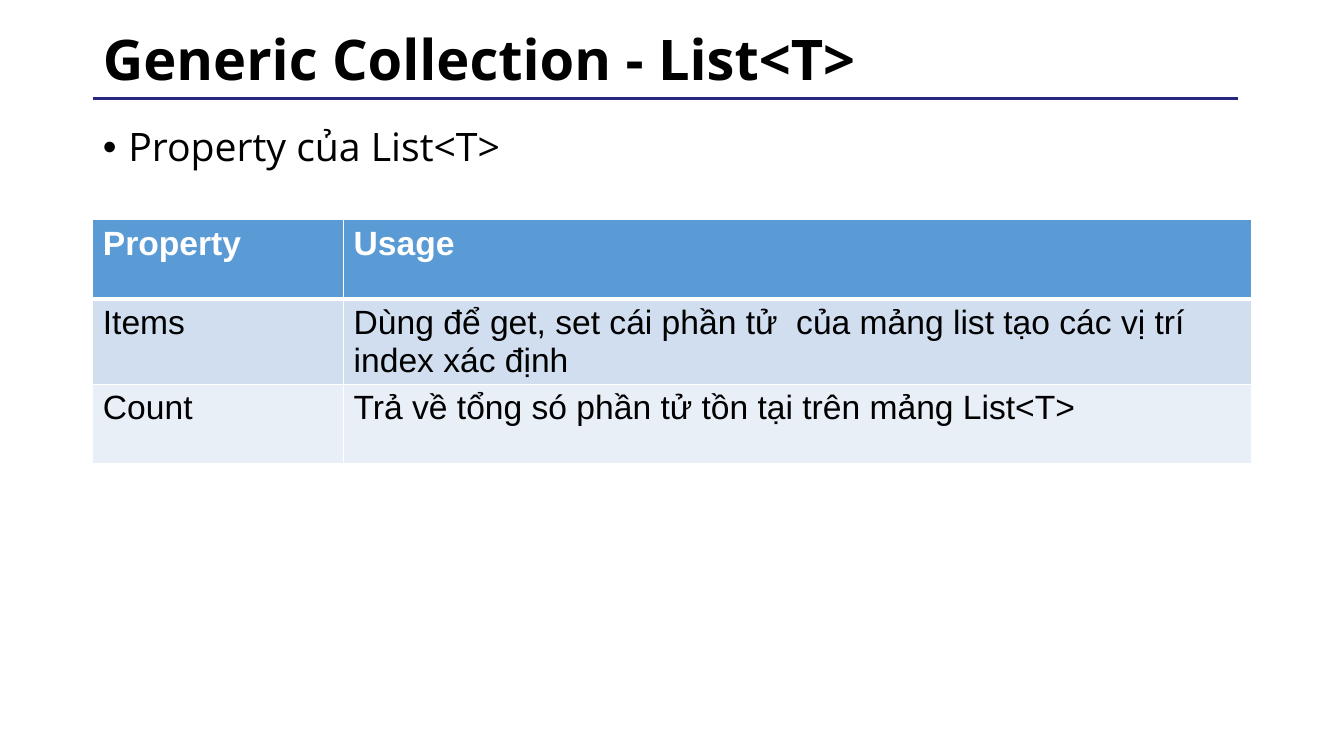
from dataclasses import dataclass

from lxml import etree
from pptx import Presentation
from pptx.dml.color import RGBColor
from pptx.enum.shapes import MSO_CONNECTOR
from pptx.enum.text import MSO_ANCHOR, MSO_AUTO_SIZE, PP_ALIGN
from pptx.oxml.ns import qn
from pptx.util import Cm, Pt

STRAIGHT = MSO_CONNECTOR.STRAIGHT
LEFT = PP_ALIGN.LEFT
TOP, MIDDLE = MSO_ANCHOR.TOP, MSO_ANCHOR.MIDDLE
NO_AUTOFIT = MSO_AUTO_SIZE.NONE

MARGIN = 2.34
PROPERTIES = [
    ("Property", "Usage"),
    ("Items", "Dùng để get, set cái phần tử  của mảng list tạo các vị trí index xác định"),
    ("Count", "Trả về tổng só phần tử tồn tại trên mảng List<T>"),
]


@dataclass(frozen=True)
class Theme:
    heading_font: str = "Open Sans"
    table_font: str = "Arial"
    title_size: int = 40
    body_size: int = 28
    table_size: int = 24
    text: str = "000000"
    rule: str = "272780"
    border: str = "FFFFFF"
    header_text: str = "FFFFFF"
    header_fill: str = "5B9BD5"
    band_fills: tuple = ("D0DEEF", "E9EFF7")


def write(frame, text, *, font, size, color, bold=False, anchor=TOP, spacing=1.0):
    frame.word_wrap = True
    frame.vertical_anchor = anchor
    paragraph = frame.paragraphs[0]
    paragraph.alignment = LEFT
    paragraph.line_spacing = spacing
    paragraph.space_before = Pt(0)
    run = paragraph.add_run()
    run.text = text
    run.font.name = font
    run.font.size = Pt(size)
    run.font.bold = bold
    run.font.color.rgb = RGBColor.from_string(color)
    return paragraph


def add_bullet(paragraph, indent):
    properties = paragraph._p.get_or_add_pPr()
    properties.set("marL", str(indent))
    properties.set("indent", str(-indent))
    bullet_font = etree.SubElement(properties, qn("a:buFont"))
    bullet_font.set("typeface", "Arial")
    bullet = etree.SubElement(properties, qn("a:buChar"))
    bullet.set("char", "•")


def set_borders(cell, color, **widths):
    """Draw cell borders; widths are points keyed by side: L, R, T, B."""
    properties = cell._tc.get_or_add_tcPr()
    for position, (side, width) in enumerate(widths.items()):
        line = etree.Element(qn(f"a:ln{side}"), w=str(Pt(width)))
        fill = etree.SubElement(line, qn("a:solidFill"))
        etree.SubElement(fill, qn("a:srgbClr"), val=color)
        properties.insert(position, line)


class SlideBuilder:
    def __init__(self, slide, theme):
        self.slide = slide
        self.theme = theme

    def place(self, placeholder, left, top, width, height):
        placeholder.left, placeholder.top = Cm(left), Cm(top)
        placeholder.width, placeholder.height = Cm(width), Cm(height)
        frame = placeholder.text_frame
        frame.auto_size = NO_AUTOFIT
        return frame

    def title(self, text, *box):
        theme = self.theme
        frame = self.place(self.slide.shapes.title, *box)
        write(frame, text, font=theme.heading_font, size=theme.title_size,
              color=theme.text, bold=True, anchor=MIDDLE, spacing=0.9)

    def bullet_list(self, text, *box):
        theme = self.theme
        frame = self.place(self.slide.placeholders[1], *box)
        item = write(frame, text, font=theme.heading_font, size=theme.body_size,
                     color=theme.text, spacing=0.9)
        add_bullet(item, Cm(0.64))

    def rule(self, left, right, y):
        rule = self.slide.shapes.add_connector(STRAIGHT, Cm(left), Cm(y), Cm(right), Cm(y))
        rule.line.color.rgb = RGBColor.from_string(self.theme.rule)
        rule.line.width = Pt(2)
        etree.SubElement(rule._element.spPr, qn("a:effectLst"))

    def table(self, rows, left, top, column_widths, row_height):
        frame = self.slide.shapes.add_table(
            len(rows), len(column_widths), Cm(left), Cm(top),
            Cm(sum(column_widths)), Cm(row_height * len(rows)))
        table = frame.table
        for column, width in zip(table.columns, column_widths):
            column.width = Cm(width)
        for row_index, row in enumerate(rows):
            for column_index, text in enumerate(row):
                self.cell(table.cell(row_index, column_index), text, row_index)

    def cell(self, cell, text, row_index):
        theme = self.theme
        header = row_index == 0
        fill = theme.header_fill if header else theme.band_fills[(row_index - 1) % 2]
        cell.fill.solid()
        cell.fill.fore_color.rgb = RGBColor.from_string(fill)
        write(cell.text_frame, text, font=theme.table_font, size=theme.table_size,
              color=theme.header_text if header else theme.text, bold=header)
        set_borders(cell, theme.border, L=1, R=1,
                    T=3 if row_index == 1 else 1, B=3 if header else 1)


def main():
    presentation = Presentation()
    presentation.slide_width = Cm(33.87)
    presentation.slide_height = Cm(19.05)
    slide = presentation.slides.add_slide(presentation.slide_layouts[1])
    builder = SlideBuilder(slide, Theme())
    builder.rule(MARGIN, 31.19, 2.49)
    builder.title("Generic Collection - List<T>", MARGIN, 0.43, 29.21, 2.26)
    builder.table(PROPERTIES, MARGIN, 5.54, (6.32, 22.89), 2)
    builder.bullet_list("Property của List<T>", MARGIN, 3.1, 28.37, 14.05)
    presentation.save("out.pptx")


if __name__ == "__main__":
    main()
